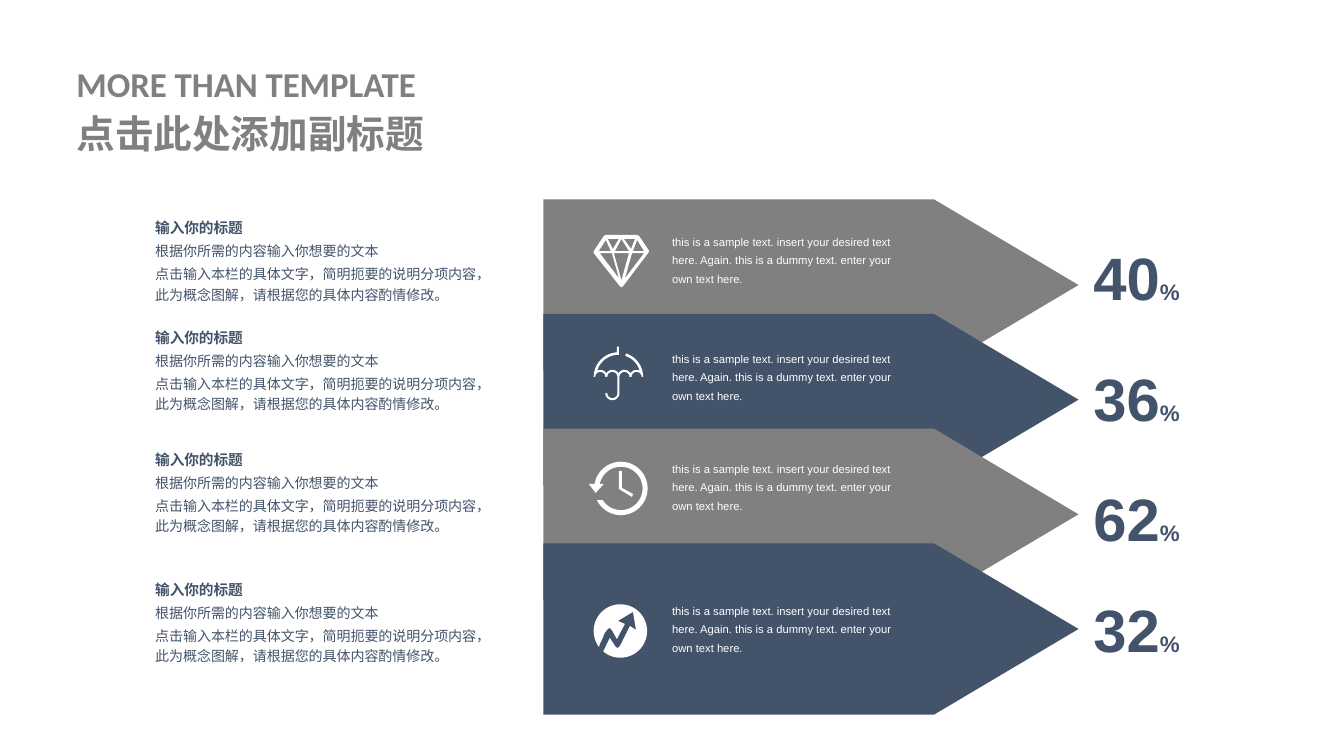
import math
from lxml import etree
from pptx import Presentation
from pptx.dml.color import RGBColor
from pptx.enum.text import MSO_ANCHOR, MSO_AUTO_SIZE
from pptx.oxml.ns import qn
from pptx.util import Pt

MIDDLE = MSO_ANCHOR.MIDDLE
FIT_SHAPE = MSO_AUTO_SIZE.SHAPE_TO_FIT_TEXT
COLORS = {"gray": "808080", "navy": "43536A", "white": "FFFFFF"}
LATIN, HEADING, CHINESE = "Arial", "Calibri", "Noto Sans CJK SC"
ICON_UNIT = 0.72

SAMPLE = ("this is a sample text. insert your desired text here. "
          "Again. this is a dummy text. enter your own text here.")
DETAILS = [
    ("输入你的标题", 10.5, True),
    ("根据你所需的内容输入你想要的文本", 10, False),
    ("点击输入本栏的具体文字，简明扼要的说明分项内容，"
     "此为概念图解，请根据您的具体内容酌情修改。", 10, False),
]


def arc(center_x, center_y, radius, start, end):
    steps = max(2, round(abs(end - start) / 6))
    angles = [math.radians(start + (end - start) * i / steps) for i in range(steps + 1)]
    return [(center_x + radius * math.cos(a), center_y + radius * math.sin(a)) for a in angles]


def diamond():
    return [
        [(0, 16), (10, 1), (12, 0), (43, 0), (45, 1), (55, 16), (54, 18),
         (29, 51), (27.5, 52), (26, 51), (0, 18)],
        [(35, 18), (20, 18), (27.5, 45)],
        [(21, 16), (27.5, 4), (35, 16)],
        [(30, 4), (41, 4), (37, 14)],
        [(19, 14), (14, 4), (25, 4)],
        [(25, 43), (6, 18), (18, 18)],
        [(38, 18), (50, 18), (31, 43)],
        [(50, 16), (39, 16), (43, 5)],
        [(12, 5), (17, 16), (5, 16)],
    ]


def umbrella():
    dome_x, rim_y = 24.5, 30
    scallops = [6.5 + 12 * i for i in range(4)]
    starts, ends = [240, 211, 211, 211], [329, 329, 329, 300]
    outline = arc(dome_x, rim_y, 24.5, 180, 266.5) + [(23, 0), (25, 0)]
    outline += arc(dome_x, rim_y, 22, 271, 196)
    for center, start, end in zip(scallops, starts, ends):
        outline += arc(center, rim_y, 7, start, end)
    outline += arc(dome_x, rim_y, 22, 344, 288) + arc(dome_x, rim_y, 24.5, 288, 360)
    for center in reversed(scallops[2:]):
        outline += arc(center, rim_y, 5, 360, 180)
    outline += arc(18.5, 46, 7, 0, 180) + arc(18.5, 46, 5, 180, 0)
    for center in reversed(scallops[:2]):
        outline += arc(center, rim_y, 5, 360, 180)
    return [outline]


def clock():
    ring = arc(32, 26.5, 26.5, 190, 514) + arc(32, 26.5, 21.5, 507, 192)
    hands = [(30, 9), (30, 27), (43, 35), (44, 32), (33, 26), (33, 9)]
    return [ring + [(15, 22), (7, 31), (0, 22)], hands]


def growth():
    trend = [(16, 34), (22, 43), (24, 44), (26, 42), (31, 32), (36, 22), (42, 26),
             (39, 8), (24, 17), (31, 20), (23, 35), (18, 26), (16, 24), (14, 25),
             (11, 29), (8, 36), (6, 40)]
    return [arc(26.5, 27, 26.5, 143, 490) + trend]


def add_outline(page, left, top, contours, color, unit=1):
    placed = [[(Pt(left + x * unit), Pt(top + y * unit)) for x, y in contour]
              for contour in contours]
    builder = page.shapes.build_freeform(*placed[0][0])
    for index, contour in enumerate(placed):
        if index:
            builder.move_to(*contour[0])
        builder.add_line_segments(contour[1:], close=True)
    shape = builder.convert_to_shape()
    shape.shadow.inherit = False
    shape.fill.solid()
    shape.fill.fore_color.rgb = RGBColor.from_string(COLORS[color])
    shape.line.fill.background()


def add_box(page, left, top, width, height, wrap=True):
    box = page.shapes.add_textbox(Pt(left), Pt(top), Pt(width), Pt(height))
    frame = box.text_frame
    frame.word_wrap = wrap
    frame.auto_size = FIT_SHAPE
    return frame


def add_span(para, text, size, font, color, bold=False):
    span = para.add_run()
    span.text = text
    span.font.size = Pt(size)
    span.font.bold = bold
    span.font.name = font
    span.font.color.rgb = RGBColor.from_string(COLORS[color])
    east_asian = etree.SubElement(span._r.get_or_add_rPr(), qn("a:ea"))
    east_asian.set("typeface", font)


def add_title(page, left, top, width, height):
    frame = add_box(page, left, top, width, height)
    frame.vertical_anchor = MIDDLE
    lines = [("MORE THAN TEMPLATE", 24.9, HEADING), ("点击此处添加副标题", 27.6, CHINESE)]
    for index, (text, size, font) in enumerate(lines):
        para = frame.add_paragraph() if index else frame.paragraphs[0]
        para.line_spacing = 1.1
        add_span(para, text, size, font, "gray", True)


def add_arrow(page, left, top, width, height, color):
    shoulder = width * 0.73
    add_outline(page, left, top, [[(0, 0), (shoulder, 0), (width, height / 2),
                                   (shoulder, height), (0, height)]], color)


def add_details(page, left, top, width, height):
    frame = add_box(page, left, top, width, height)
    frame.margin_left = frame.margin_right = Pt(11.5)
    frame.margin_top = frame.margin_bottom = Pt(5.76)
    for index, (text, size, bold) in enumerate(DETAILS):
        para = frame.add_paragraph() if index else frame.paragraphs[0]
        para.line_spacing = 1.2
        para.space_before = Pt(2)
        add_span(para, text, size, CHINESE, "navy", bold)


def add_sample(page, left, top, width, height):
    para = add_box(page, left, top, width, height).paragraphs[0]
    para.line_spacing = Pt(13.3)
    add_span(para, SAMPLE, 8, LATIN, "white")


def add_percent(page, left, top, width, height, value):
    para = add_box(page, left, top, width, height, wrap=False).paragraphs[0]
    add_span(para, value, 42.7, LATIN, "navy", True)
    add_span(para, "%", 16, LATIN, "navy", True)


def main():
    deck = Presentation()
    deck.slide_width, deck.slide_height = Pt(960), Pt(540)
    page = deck.slides.add_slide(deck.slide_layouts[6])
    add_title(page, 47.5, 38.2, 317.5, 77)
    rows = [
        (diamond, 424.1, 167.8, 160.6, "40", 168.5, 148.3),
        (umbrella, 424.1, 247.7, 244.1, "36", 254.9, 226.8),
        (clock, 420.5, 329.8, 322.6, "62", 340.6, 313.9),
        (growth, 424.1, 431.3, 424.1, "32", 419.8, 406.8),
    ]
    for index in range(len(rows)):
        color = "navy" if index % 2 else "gray"
        add_arrow(page, 388.1, 142.4 + 81.9 * index, 382.3, 122.4, color)
    for icon, icon_left, icon_top, sample_top, value, value_top, details_top in rows:
        add_outline(page, icon_left, icon_top, icon(), "white", ICON_UNIT)
        add_sample(page, 473, sample_top, 180.7, 46.8)
        add_percent(page, 774, value_top, 77, 59, value)
        add_details(page, 99.4, details_top, 256.3, 75.6)
    deck.save("out.pptx")


if __name__ == "__main__":
    main()
